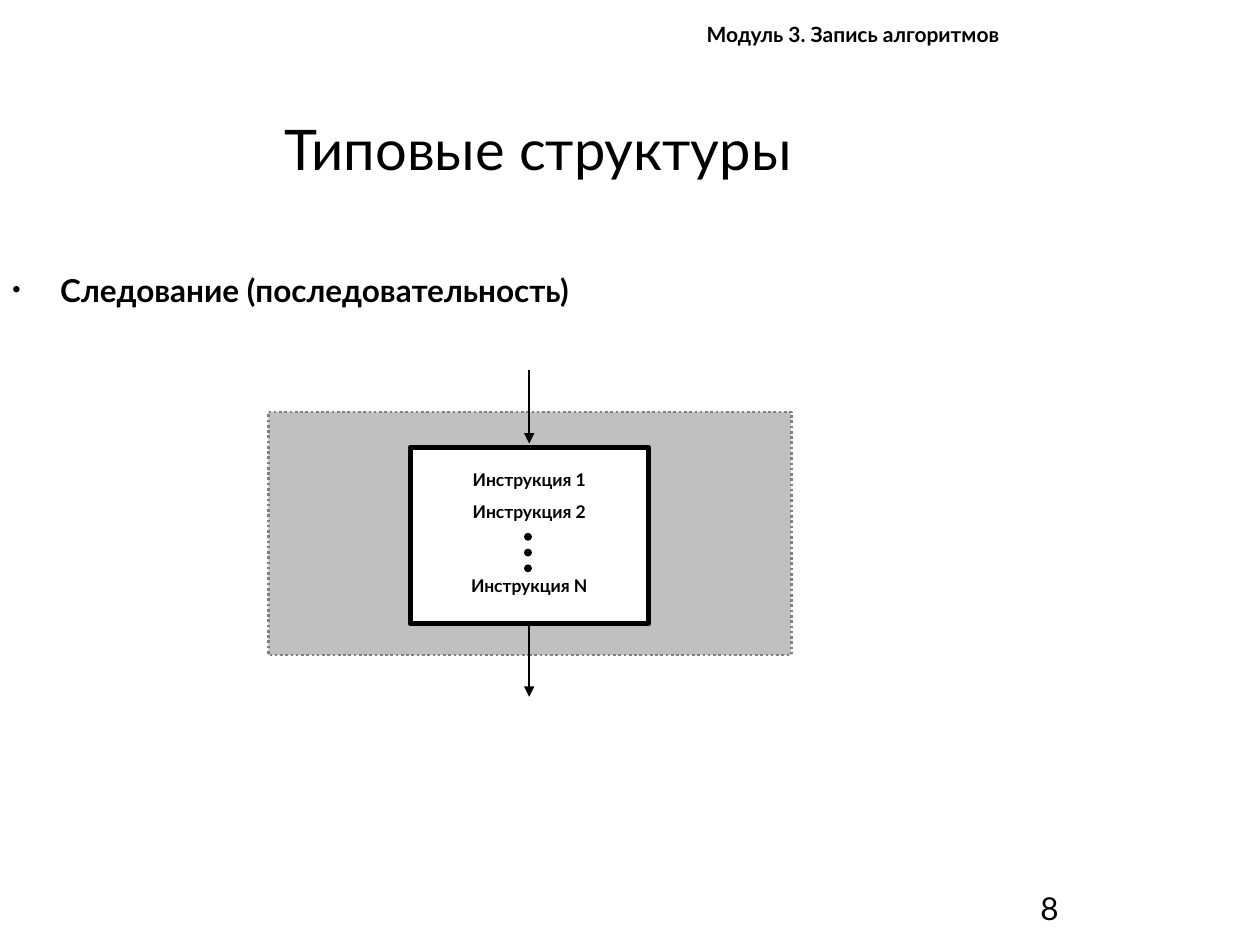
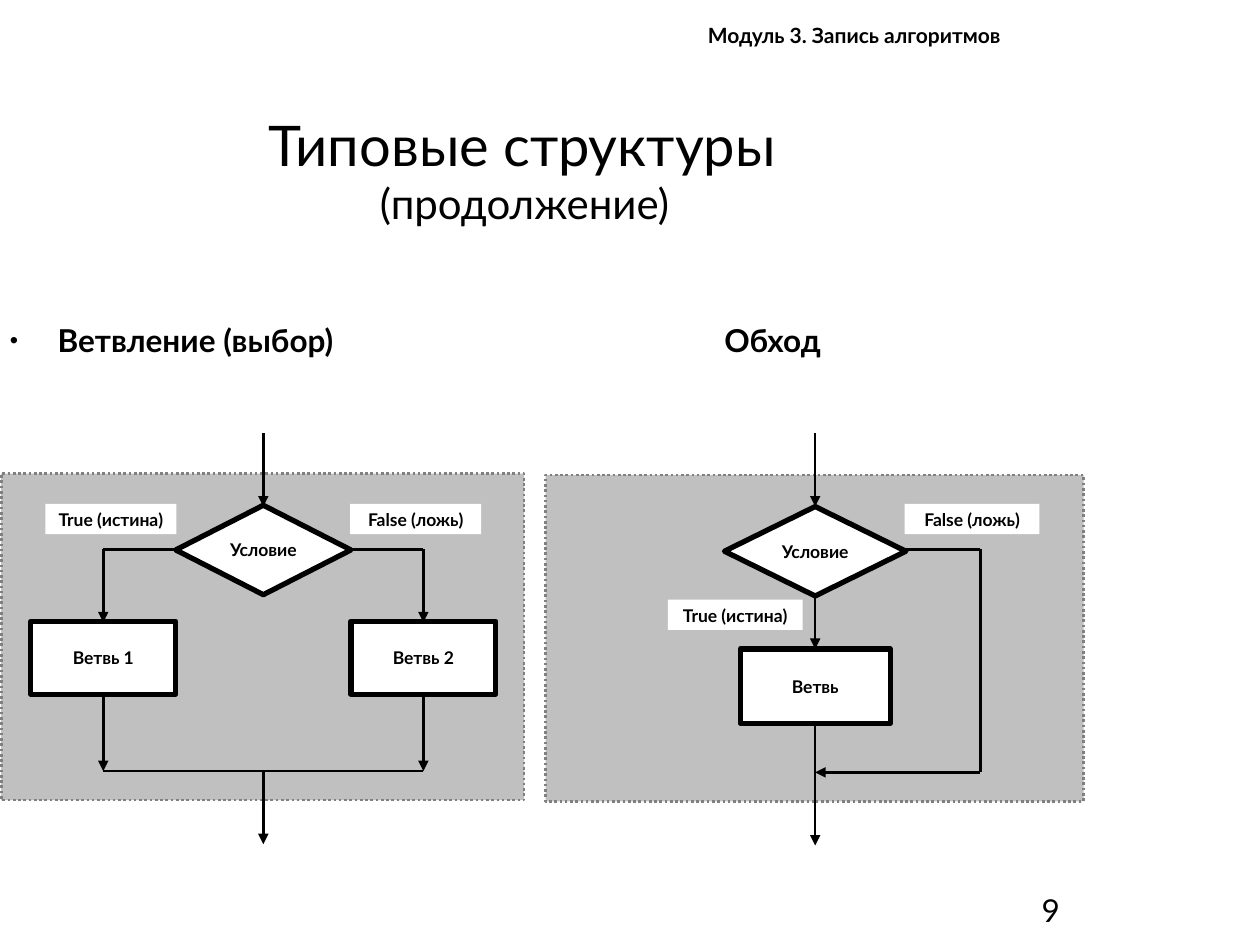
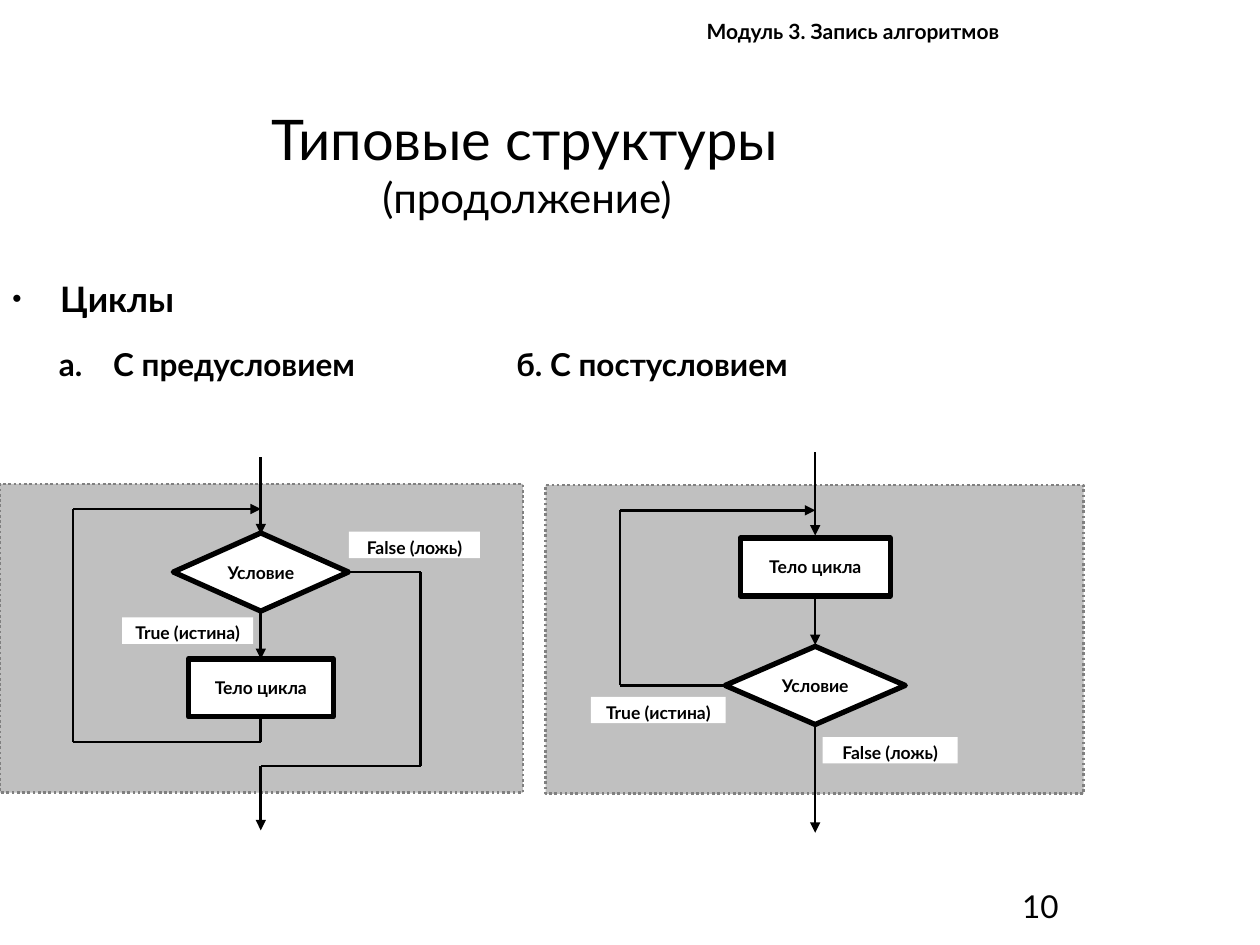
from dataclasses import dataclass
from itertools import pairwise

from pptx import Presentation
from pptx.dml.color import RGBColor
from pptx.enum.dml import MSO_LINE
from pptx.enum.shapes import MSO_CONNECTOR, MSO_SHAPE
from pptx.enum.text import MSO_ANCHOR as Anchor, PP_ALIGN as Align
from pptx.oxml.ns import qn
from pptx.slide import Slide
from pptx.util import Inches, Pt

COLORS = {"ink": "000000", "paper": "FFFFFF", "panel": "C0C0C0", "edge": "808080"}
FONT = "Lato"
TITLE = ("Типовые структуры ", 32)
CONTINUED = ("(продолжение) ", 24)
HEADER = "Модуль 3. Запись алгоритмов"
TRUE, FALSE = "True (истина)", "False (ложь)"


def color(name):
    return RGBColor.from_string(COLORS[name])


def write(shape, lines, bold=False, align=Align.LEFT, anchor=Anchor.TOP,
          inset=(0.1, 0.05), wrap=True, hanging=0):
    """Fill a shape with (text, size) lines, one paragraph each."""
    frame = shape.text_frame
    frame.word_wrap = wrap
    frame.vertical_anchor = anchor
    frame.margin_left = frame.margin_right = Inches(inset[0])
    frame.margin_top = frame.margin_bottom = Inches(inset[1])
    for index, (text, size) in enumerate(lines):
        para = frame.add_paragraph() if index else frame.paragraphs[0]
        para.alignment = align
        if hanging:
            properties = para._p.get_or_add_pPr()
            properties.set("marL", str(Inches(hanging)))
            properties.set("indent", str(-Inches(hanging)))
        span = para.add_run()
        span.text = text
        font = span.font
        font.name, font.size, font.bold = FONT, Pt(size), bold
        font.color.rgb = color("ink")


def add_text(page, box, text, size, **style):
    shape = page.shapes.add_textbox(*map(Inches, box))
    write(shape, [(text, size)], **style)
    return shape


def add_heading(page, left, top, text, size=18, bullet=False, hanging=0):
    shape = add_text(page, (left, top, 5, 0.45), text, size, bold=True,
                     hanging=0.38 if bullet else hanging)
    if bullet:
        properties = shape.text_frame.paragraphs[0]._p.get_or_add_pPr()
        for tag, name, value in (("buSzPct", "val", "75000"),
                                 ("buFont", "typeface", "Arial"),
                                 ("buChar", "char", "•")):
            mark = properties.makeelement(qn("a:" + tag), {name: value})
            properties.append(mark)


def add_page(deck, number, title_box, title_lines, header_at, number_at):
    """Title, module header and page number shared by all slides."""
    page = deck.slides.add_slide(deck.slide_layouts[5])
    title = page.shapes.title
    title.left, title.top, title.width, title.height = map(Inches, title_box)
    write(title, title_lines, align=Align.CENTER, anchor=Anchor.MIDDLE)
    add_text(page, (*header_at, 2.82, 0.3), HEADER, 12, bold=True)
    add_text(page, (*number_at, 2.33, 0.52), str(number), 18, align=Align.RIGHT)
    return page


@dataclass
class Flowchart:
    """A grey panel; its parts are placed from its top left corner."""
    page: Slide
    left: float
    top: float
    width: float
    height: float
    axis: float  # x of the main flow

    def __post_init__(self):
        panel = self.block(MSO_SHAPE.RECTANGLE, (0, 0, self.width, self.height),
                           "panel", "edge", 1.5)
        panel.line.dash_style = MSO_LINE.ROUND_DOT

    def block(self, kind, box, fill="paper", edge=None, weight=3.0):
        x, y, width, height = box
        shape = self.page.shapes.add_shape(
            kind, Inches(self.left + x), Inches(self.top + y),
            Inches(width), Inches(height))
        shape.shadow.inherit = False
        shape.fill.solid()
        shape.fill.fore_color.rgb = color(fill)
        if edge:
            shape.line.color.rgb = color(edge)
            shape.line.width = Pt(weight)
        else:
            shape.line.fill.background()
        return shape

    def node(self, kind, center, top, size, text):
        width, height = size
        shape = self.block(kind, (center - width / 2, top, width, height), edge="ink")
        if text:
            write(shape, [(text, 10)], bold=True, align=Align.CENTER,
                  anchor=Anchor.MIDDLE, inset=(0, 0), wrap=False)

    def step(self, center, top, size, text=""):
        self.node(MSO_SHAPE.RECTANGLE, center, top, size, text)

    def choice(self, top, size):
        self.node(MSO_SHAPE.DIAMOND, self.axis, top, size, "Условие")

    def label(self, box, text):
        shape = self.block(MSO_SHAPE.RECTANGLE, box)
        write(shape, [(text, 10)], bold=True, align=Align.CENTER, inset=(0, 0.04))

    def line(self, start, end, weight=1.5):
        (x1, y1), (x2, y2) = start, end
        connector = self.page.shapes.add_connector(
            MSO_CONNECTOR.STRAIGHT, Inches(self.left + x1), Inches(self.top + y1),
            Inches(self.left + x2), Inches(self.top + y2))
        connector.line.color.rgb = color("ink")
        connector.line.width = Pt(weight)
        properties = connector._element.spPr
        properties.append(properties.makeelement(qn("a:effectLst"), {}))
        return connector

    def route(self, *points, arrow=True):
        for start, end in pairwise(points):
            last = self.line(start, end)
        if arrow:
            outline = last.line._get_or_add_ln()
            outline.append(outline.makeelement(qn("a:tailEnd"), {"type": "triangle"}))

    def down(self, start, end):
        self.route((self.axis, start), (self.axis, end))


def draw_sequence(page, left, top):
    chart = Flowchart(page, left, top, 4.15, 1.93, axis=2.07)
    chart.down(-0.33, 0.25)
    chart.step(chart.axis, 0.28, (1.89, 1.4))
    chart.down(1.68, 2.26)
    for y, name in ((0.41, "1"), (0.67, "2"), (1.25, "N")):
        chart.label((1.38, y, 1.38, 0.26), f"Инструкция {name}")
    # Dots standing for the omitted instructions
    dots = chart.line((2.06, 0.99), (2.06, 1.33), weight=4.5)
    dots.line.dash_style = MSO_LINE.ROUND_DOT
    dots.line._get_or_add_ln().set("cap", "rnd")


def draw_branching(page, left, top):
    chart = Flowchart(page, left, top, 4.15, 2.59, axis=2.08)
    chart.down(-0.32, 0.26)
    chart.choice(0.25, (1.39, 0.71))
    columns = (0.81, 3.35)
    for number, (x, corner) in enumerate(zip(columns, (1.39, 2.77)), 1):
        chart.step(x, 1.17, (1.15, 0.58), f"Ветвь {number}")
        chart.route((corner, 0.6), (x, 0.6), (x, 1.18))
        chart.route((x, 1.77), (x, 2.36))
    chart.route(*((x, 2.36) for x in columns), arrow=False)
    chart.down(2.36, 2.94)
    chart.label((0.35, 0.24, 1.04, 0.24), TRUE)
    chart.label((2.77, 0.24, 1.04, 0.24), FALSE)


def draw_bypass(page, left, top):
    chart = Flowchart(page, left, top, 4.27, 2.59, axis=2.14)
    chart.down(-0.33, 0.25)
    chart.choice(0.25, (1.44, 0.71))
    chart.down(0.94, 1.38)
    chart.step(chart.axis, 1.38, (1.19, 0.59), "Ветвь")
    chart.route((2.85, 0.59), (3.45, 0.59), (3.45, 2.36), (chart.axis, 2.36))
    chart.down(1.97, 2.94)
    chart.label((2.85, 0.23, 1.07, 0.24), FALSE)
    chart.label((0.97, 0.99, 1.07, 0.24), TRUE)


def draw_while_loop(page, left, top):
    chart = Flowchart(page, left, top, 4.15, 2.45, axis=2.07)
    axis = chart.axis
    chart.down(-0.21, 0.4)
    chart.choice(0.39, (1.39, 0.62))
    chart.down(1, 1.39)
    chart.step(axis, 1.39, (1.15, 0.46), "Тело цикла")
    # Exit on the right, return on the left
    chart.route((2.77, 0.7), (3.34, 0.7), (3.34, 2.24), (axis, 2.24), (axis, 2.75))
    chart.route((axis, 1.84), (axis, 2.05), (0.58, 2.05), (0.58, 0.2), (axis, 0.2))
    chart.label((2.77, 0.38, 1.04, 0.21), FALSE)
    chart.label((0.97, 1.06, 1.04, 0.21), TRUE)


def draw_until_loop(page, left, top):
    chart = Flowchart(page, left, top, 4.27, 2.45, axis=2.14)
    chart.down(-0.26, 0.4)
    chart.step(chart.axis, 0.42, (1.19, 0.46), "Тело цикла")
    chart.down(0.88, 1.27)
    chart.choice(1.28, (1.43, 0.62))
    chart.route((1.42, 1.59), (0.59, 1.59), (0.59, 0.2), (chart.axis, 0.2))
    chart.down(1.9, 2.76)
    chart.label((2.2, 2, 1.07, 0.21), FALSE)
    chart.label((0.36, 1.68, 1.07, 0.21), TRUE)


def main():
    deck = Presentation()
    deck.slide_width, deck.slide_height = Inches(10), Inches(7.5)

    # Sequence
    page = add_page(deck, 8, (0.32, 0.75, 8.02, 0.85), [TITLE], (5.51, 0.12), (6.17, 7.01))
    add_heading(page, 0, 2.1, "Следование (последовательность)", bullet=True)
    draw_sequence(page, 2.13, 3.27)

    # Branching and bypass
    page = add_page(deck, 9, (-0.02, 0.8, 8.45, 1.08), [TITLE, CONTINUED],
                    (5.52, 0.13), (6.18, 7.02))
    add_heading(page, -0.02, 2.5, "Ветвление (выбор)", bullet=True)
    add_heading(page, 5.65, 2.5, "Обход")
    draw_branching(page, 0.01, 3.76)
    draw_bypass(page, 4.33, 3.77)

    # Loops
    page = add_page(deck, 10, (0, 0.8, 8.45, 0.99), [TITLE, CONTINUED],
                    (5.51, 0.1), (6.17, 6.99))
    add_heading(page, 0, 2.15, "Циклы", size=20, bullet=True)
    add_heading(page, 0.37, 2.69, "а.\tС предусловием", hanging=0.43)
    add_heading(page, 4, 2.69, "б. С постусловием")
    draw_while_loop(page, 0, 3.84)
    draw_until_loop(page, 4.33, 3.85)

    deck.save("out.pptx")


if __name__ == "__main__":
    main()
